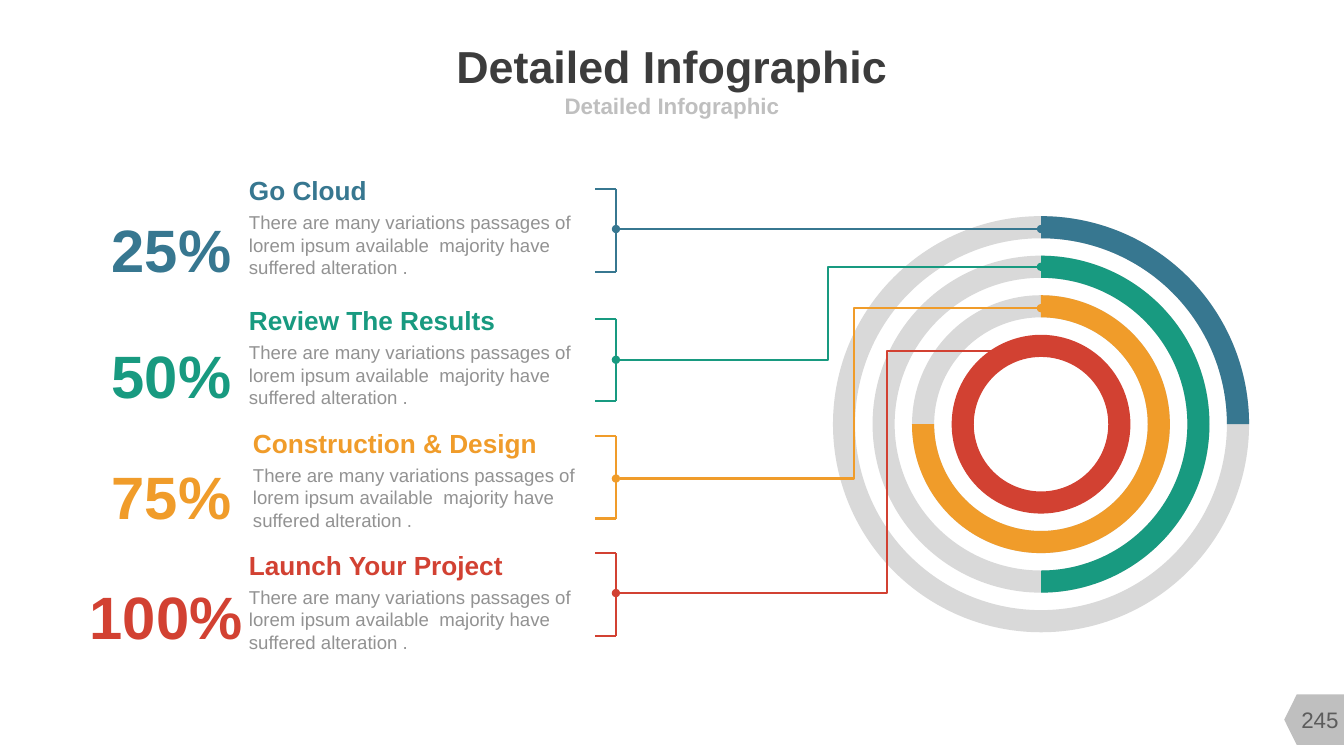
from collections import namedtuple

from lxml.etree import SubElement
from pptx import Presentation
from pptx.dml.color import RGBColor
from pptx.enum.shapes import MSO_CONNECTOR as LINK, MSO_SHAPE as SHAPE
from pptx.enum.text import MSO_ANCHOR as ANCHOR, PP_ALIGN as ALIGN
from pptx.oxml.ns import qn
from pptx.util import Pt

BLUE = RGBColor(0x37, 0x77, 0x90)
GREEN = RGBColor(0x18, 0x9A, 0x80)
ORANGE = RGBColor(0xF0, 0x9C, 0x2A)
RED = RGBColor(0xD2, 0x41, 0x32)
DARK = RGBColor(0x3C, 0x3C, 0x3C)
TEXT_GRAY = RGBColor(0x92, 0x92, 0x92)
PAGE_GRAY = RGBColor(0x5C, 0x5C, 0x5C)
SILVER = RGBColor(0xBF, 0xBF, 0xBF)
TRACK = RGBColor(0xD9, 0xD9, 0xD9)

DETAIL = ("There are many variations passages of lorem ipsum available  "
          "majority have suffered alteration .")

# Places are in points; bend is the share of the leader before its elbow
Step = namedtuple("Step", "percent heading color left heading_top percent_center "
                          "percent_top bracket_top leader_y ring_y bend")
STEPS = [
    Step(25, "Go Cloud", BLUE, 177.8, 124.6, 122.4, 151.6, 135.2, 163.6, 163.6, None),
    Step(50, "Review The Results", GREEN, 177.8, 217.4, 122.4, 241.9, 227.6, 257, 190.6, 0.5),
    Step(75, "Construction & Design", ORANGE, 180.7, 305.1, 122.4, 328, 311.4, 341.8, 220.1, 0.439),
    Step(100, "Launch Your Project", RED, 177.8, 392.2, 118.6, 414, 395.2, 423.6, 250.6, 0.363),
]

CENTER_X, CENTER_Y = 743.6, 303
RING_SIZE, RING_STEP, RING_WIDTH = 297.2, 56.5, 15.8
BRACKET_X, BRACKET_ARM, BRACKET_HEIGHT = 440, 15, 59
PERCENT_WIDTH, TEXT_WIDTH = 118, 239


def add_text(slide, text, box, size, color, bold=False, align=ALIGN.LEFT,
             anchor=ANCHOR.TOP):
    label = slide.shapes.add_textbox(*map(Pt, box))
    frame = label.text_frame
    frame_format = {"margin_left": 0, "margin_right": 0, "margin_top": 0,
                    "margin_bottom": 0, "word_wrap": True,
                    "vertical_anchor": anchor}
    for key, value in frame_format.items():
        setattr(frame, key, value)
    paragraph = frame.paragraphs[0]
    paragraph.alignment = align
    run = paragraph.add_run()
    run.text = text
    for key, value in {"name": "Arial", "size": Pt(size), "bold": bold}.items():
        setattr(run.font, key, value)
    run.font.color.rgb = color


def add_line(slide, start, end, color, kind=LINK.STRAIGHT, bend=None, dots=False):
    line = slide.shapes.add_connector(kind, *map(Pt, (*start, *end)))
    line.line.color.rgb = color
    line.line.width = Pt(1.5)
    properties = line._element.spPr
    if bend is not None:
        guides = properties.find(qn("a:prstGeom")).get_or_add_avLst()
        SubElement(guides, qn("a:gd"), name="adj1", fmla=f"val {round(bend * 100000)}")
    if dots:
        for tag in ("a:headEnd", "a:tailEnd"):
            SubElement(properties.find(qn("a:ln")), qn(tag), type="oval")
    SubElement(properties, qn("a:effectLst"))


def add_solid(slide, kind, box, color, adjustments=()):
    solid = slide.shapes.add_shape(kind, *map(Pt, box))
    solid.shadow.inherit = False
    solid.fill.solid()
    solid.fill.fore_color.rgb = color
    solid.line.fill.background()
    for index, value in enumerate(adjustments):
        solid.adjustments[index] = value
    return solid


def add_header(slide, left, top, width):
    centred = {"bold": True, "align": ALIGN.CENTER, "anchor": ANCHOR.MIDDLE}
    add_text(slide, "Detailed Infographic", (left, top, width, 37.4), 32, DARK, **centred)
    add_text(slide, "Detailed Infographic", (left, top + 36.7, width, 21), 16, SILVER, **centred)


def add_page_number(slide, left, top, width, height):
    # The tag is turned a quarter, so its width and height swap
    tag = add_solid(slide, SHAPE.FLOWCHART_OFFPAGE_CONNECTOR,
                    (left + (width - height) / 2, top + (height - width) / 2,
                     height, width), SILVER)
    tag.rotation = 90
    add_text(slide, "245", (left + 1.4, top, 48.2, height), 16, PAGE_GRAY,
             align=ALIGN.CENTER, anchor=ANCHOR.MIDDLE)


def add_ring(slide, step, size):
    box = (CENTER_X - size / 2, CENTER_Y - size / 2, size, size)
    thickness = RING_WIDTH / size
    full = step.percent == 100
    add_solid(slide, SHAPE.DONUT, box, step.color if full else TRACK, [thickness])
    if not full:
        # Angles run clockwise from three o'clock, 0.6 units per degree
        end = (270 + 3.6 * step.percent) % 360
        add_solid(slide, SHAPE.BLOCK_ARC, box, step.color,
                  [270 * 0.6, end * 0.6, thickness])


def add_step(slide, step):
    # Percentage, heading and detail
    percent_left = step.percent_center - PERCENT_WIDTH / 2
    add_text(slide, f"{step.percent}%",
             (percent_left, step.percent_top, PERCENT_WIDTH, 51.8),
             42.7, step.color, True, ALIGN.CENTER, ANCHOR.MIDDLE)
    add_text(slide, step.heading, (step.left, step.heading_top, TEXT_WIDTH, 22.3),
             18.7, step.color, True)
    add_text(slide, DETAIL, (step.left, step.heading_top + 26.3, TEXT_WIDTH, 48.2),
             13.3, TEXT_GRAY)
    # Bracket
    top, bottom = step.bracket_top, step.bracket_top + BRACKET_HEIGHT
    add_line(slide, (BRACKET_X, top), (BRACKET_X, bottom), step.color)
    for y in (top, bottom):
        add_line(slide, (BRACKET_X, y), (BRACKET_X - BRACKET_ARM, y), step.color)
    # Leader from the ring
    add_line(slide, (CENTER_X, step.ring_y), (BRACKET_X, step.leader_y), step.color,
             LINK.STRAIGHT if step.bend is None else LINK.ELBOW, step.bend, dots=True)


def main():
    deck = Presentation()
    deck.slide_width, deck.slide_height = Pt(960), Pt(540)
    slide = deck.slides.add_slide(deck.slide_layouts[6])
    add_page_number(slide, 917.3, 496.1, 44.6, 36)
    add_header(slide, 184, 28.1, 592)
    for index, step in enumerate(STEPS):
        add_ring(slide, step, RING_SIZE - index * RING_STEP)
    for step in STEPS:
        add_step(slide, step)
    deck.save("out.pptx")


if __name__ == "__main__":
    main()
